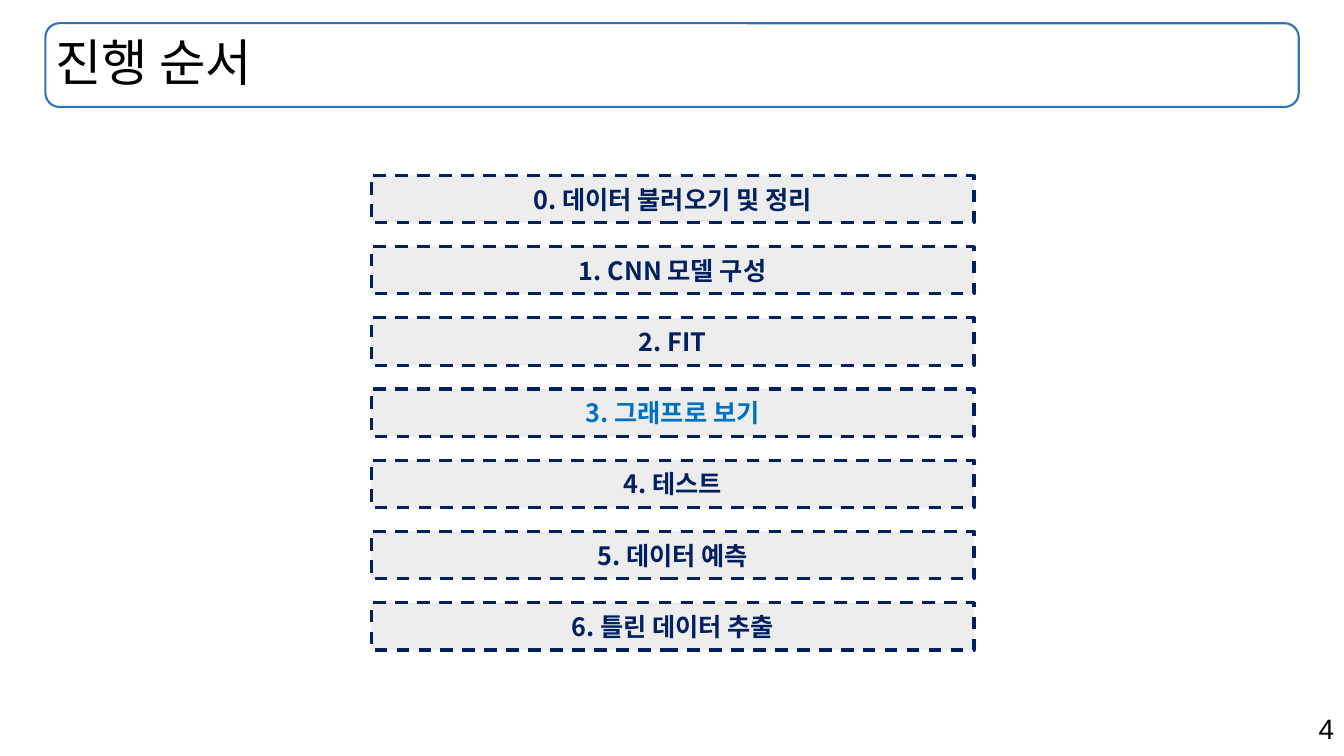
from dataclasses import dataclass

from lxml import etree
from pptx import Presentation
from pptx import util as u
from pptx.dml.color import RGBColor
from pptx.enum import dml, shapes, text
from pptx.oxml.ns import qn


@dataclass(frozen=True)
class Theme:
    ink: str = "000000"
    navy: str = "002060"
    highlight: str = "0070C0"
    frame: str = "2E75B6"
    panel: str = "EDEDED"
    title_size: int = 36
    page_size: int = 20
    step_size: int = 18
    latin: str = "Arial"
    korean: str = "Noto Sans CJK KR"


THEME = Theme()
STEPS = [
    "0. 데이터 불러오기 및 정리",
    "1. CNN 모델 구성",
    "2. FIT",
    "3. 그래프로 보기",
    "4. 테스트",
    "5. 데이터 예측",
    "6. 틀린 데이터 추출",
]
CURRENT_STEP = 3

# Places on a grid of 100 columns by 100 rows: left, top, width, height
TITLE_BOX = (3.38, 3.07, 93.25, 11.07)
PAGE_BOX = (70.74, 93.47, 29.26, 5.87)
STEP_LEFT, STEP_TOP, STEP_WIDTH, STEP_HEIGHT = 27.61, 23.2, 44.86, 6.27
STEP_PITCH = 9.42


def write(sp, words, *, size, color, font=THEME.latin, bold=False,
          align=text.PP_ALIGN.LEFT, anchor=text.MSO_ANCHOR.MIDDLE, spacing=None):
    tf = sp.text_frame
    tf.word_wrap = True
    tf.vertical_anchor = anchor
    p = tf.paragraphs[0]
    p.alignment = align
    if spacing:
        p.line_spacing = spacing
    r = p.add_run()
    r.text = words
    r.font.size = u.Pt(size)
    r.font.bold = bold
    r.font.name = font
    r.font.color.rgb = RGBColor.from_string(color)
    # Hangul takes the East Asian typeface
    etree.SubElement(r.font._element, qn("a:ea"), typeface=THEME.korean)


class Deck:
    def __init__(self, theme):
        self.theme = theme
        self.prs = Presentation()
        self.prs.slide_width = u.Inches(13.33)
        self.prs.slide_height = u.Inches(7.5)
        self.s = self.prs.slides.add_slide(self.prs.slide_layouts[6])

    def place(self, x, y, w, h):
        col, row = self.prs.slide_width / 100, self.prs.slide_height / 100
        return int(x * col), int(y * row), int(w * col), int(h * row)

    def text(self, box, words, **fmt):
        write(self.s.shapes.add_textbox(*self.place(*box)), words, **fmt)

    def shape(self, kind, box, line, width, fill=None, dash=None):
        sp = self.s.shapes.add_shape(kind, *self.place(*box))
        sp.shadow.inherit = False
        if fill:
            sp.fill.solid()
            sp.fill.fore_color.rgb = RGBColor.from_string(fill)
        else:
            sp.fill.background()
        sp.line.color.rgb = RGBColor.from_string(line)
        sp.line.width = u.Pt(width)
        if dash:
            sp.line.dash_style = dash
        return sp

    def title(self, words):
        t = self.theme
        self.shape(shapes.MSO_SHAPE.ROUNDED_RECTANGLE, TITLE_BOX, t.frame, 1.5)
        self.text(TITLE_BOX, words, size=t.title_size, color=t.ink, spacing=0.9)

    def step(self, index, words, current):
        t = self.theme
        box = (STEP_LEFT, STEP_TOP + index * STEP_PITCH, STEP_WIDTH, STEP_HEIGHT)
        sp = self.shape(shapes.MSO_SHAPE.RECTANGLE, box, t.navy, 2.25,
                        fill=t.panel, dash=dml.MSO_LINE.DASH)
        write(sp, words, size=t.step_size, font=t.korean, bold=True,
              color=t.highlight if current else t.navy,
              align=text.PP_ALIGN.CENTER)

    def page_number(self, number):
        t = self.theme
        self.text(PAGE_BOX, number, size=t.page_size, color=t.ink,
                  align=text.PP_ALIGN.RIGHT, anchor=text.MSO_ANCHOR.TOP)


def main():
    deck = Deck(THEME)
    # Page number and title
    deck.page_number("4")
    deck.title("진행 순서")
    # Agenda steps, with the current one highlighted
    for i, words in enumerate(STEPS):
        deck.step(i, words, current=i == CURRENT_STEP)
    deck.prs.save("out.pptx")


if __name__ == "__main__":
    main()
